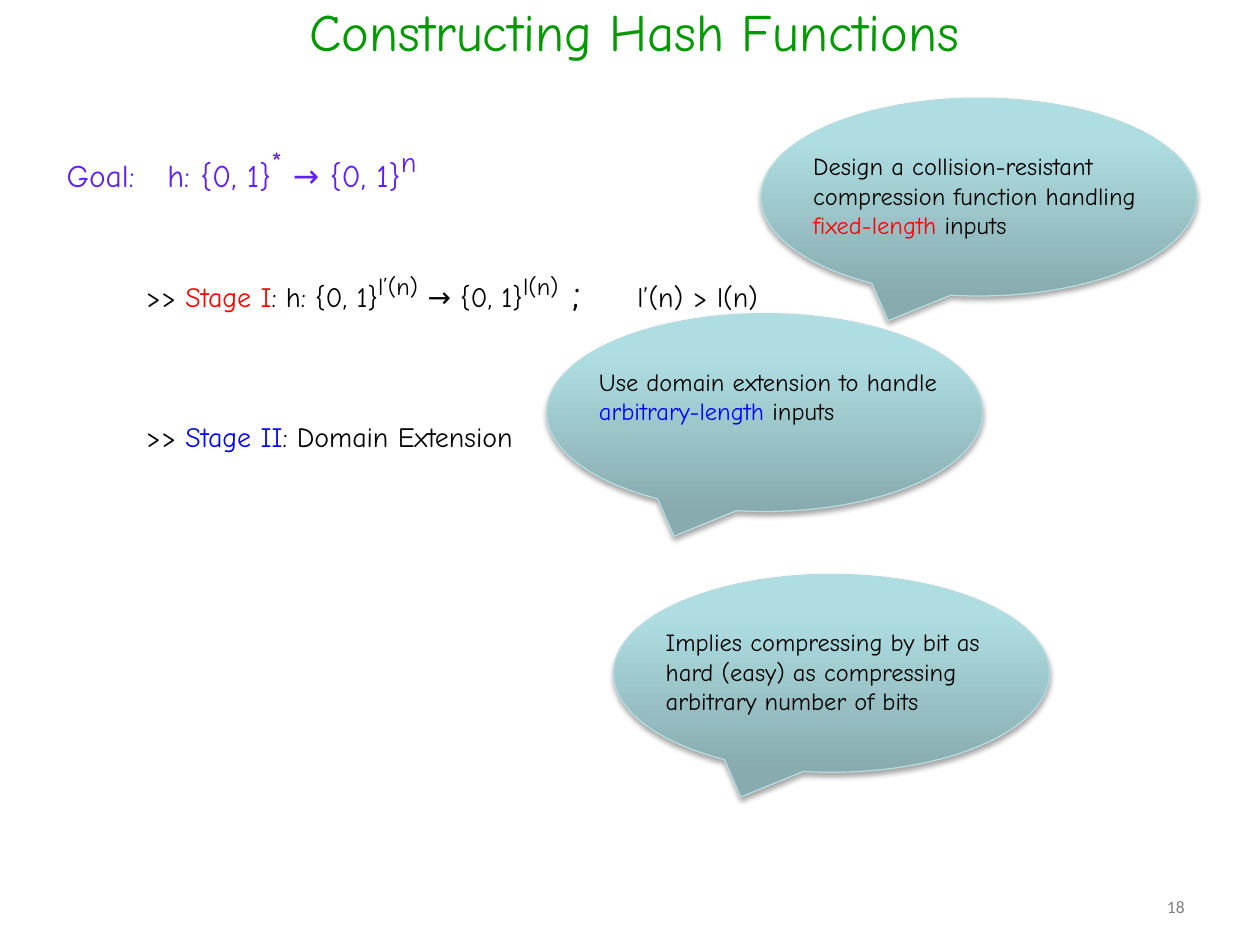
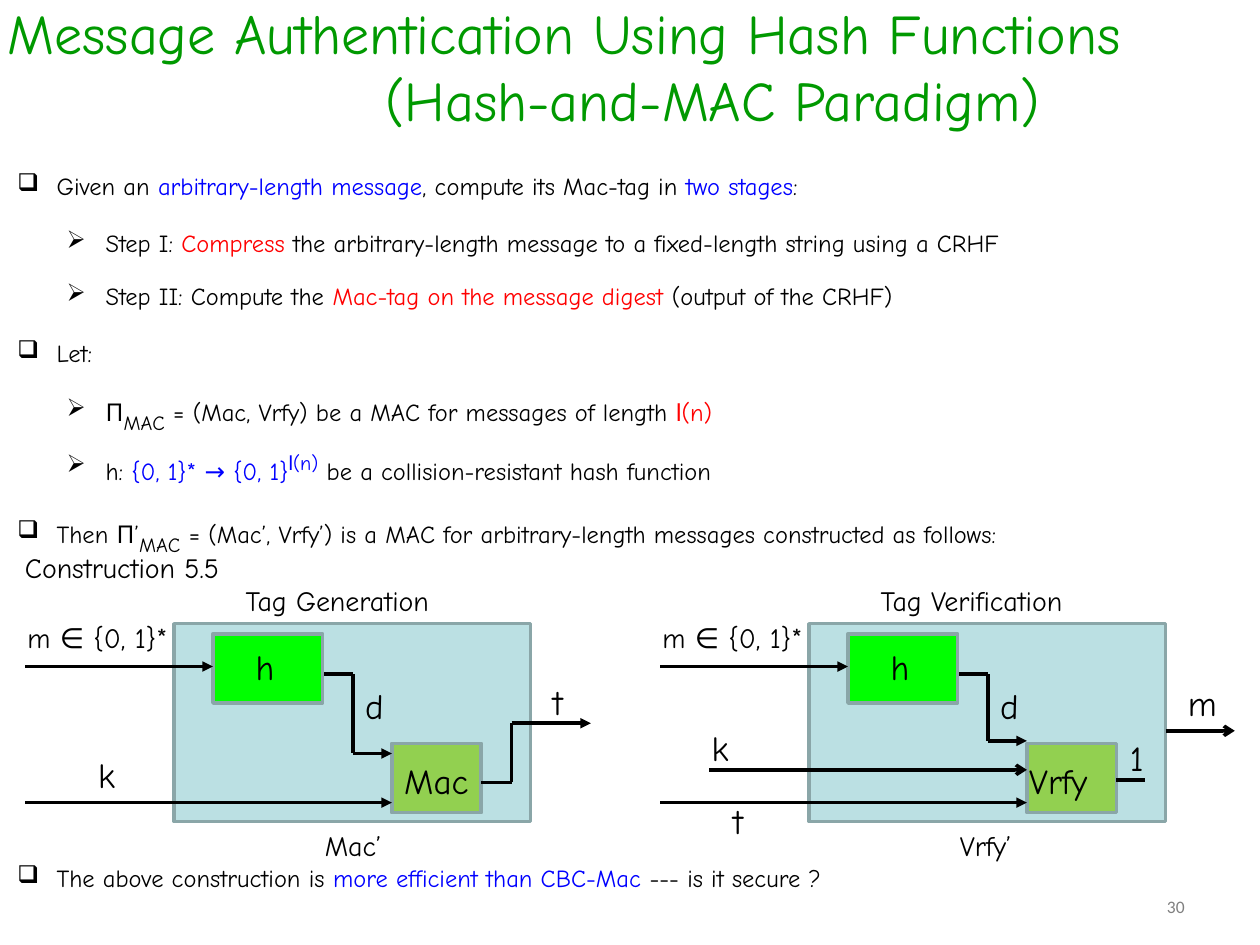
from lxml import etree
from pptx import Presentation
from pptx.dml.color import RGBColor
from pptx.enum.shapes import MSO_CONNECTOR, MSO_SHAPE
from pptx.enum.text import MSO_ANCHOR, MSO_AUTO_SIZE, PP_ALIGN
from pptx.oxml.ns import qn
from pptx.util import Inches, Pt

LEFT, MID, RIGHT = PP_ALIGN.LEFT, PP_ALIGN.CENTER, PP_ALIGN.RIGHT
BOX, BUBBLE = MSO_SHAPE.RECTANGLE, MSO_SHAPE.OVAL_CALLOUT
STRAIGHT = MSO_CONNECTOR.STRAIGHT
CENTRE, TOP = MSO_ANCHOR.MIDDLE, MSO_ANCHOR.TOP
FIXED = MSO_AUTO_SIZE.NONE

FONT = "Comic Neue"
BLACK, RED, BLUE = "000000", "FF0000", "0000FF"
GREEN, VIOLET, GREY = "009900", "5E1EFE", "808080"
PANEL, EDGE, LIME, LEAF = "BBE0E3", "8AA6A8", "00FF00", "92D050"
DARK, PALE, RIM = "87ABAE", "AFDEE2", "B6DCDF"

COLS, ROWS = 100, 75
CELL = Inches(10) // COLS
SHIFT = 50.4
HANG = 3.1


def cells(*counts):
    """Turn counts of grid cells into lengths."""
    return [round(n * CELL) for n in counts]


def tint(code):
    """Turn a hex string into a colour."""
    return RGBColor.from_string(code)


def node(parent, tag, **attrs):
    """Append an XML element to a parent."""
    return etree.SubElement(parent, qn(tag), {k: str(v) for k, v in attrs.items()})


def write(para, runs, size=14, color=BLACK, font=FONT, align=LEFT):
    """Fill a paragraph with runs, each a string or a string with its format."""
    para.alignment = align
    for item in [runs] if isinstance(runs, str) else runs:
        words, own = (item, {}) if isinstance(item, str) else item
        run = para.add_run()
        run.text = words
        run.font.name = own.get("font", font)
        run.font.size = Pt(own.get("size", size))
        run.font.color.rgb = tint(own.get("color", color))
        if "rise" in own:
            run._r.get_or_add_rPr().set("baseline", str(own["rise"] * 1000))


def text(slide, at, runs, bullet=None, tab=None, **form):
    """Add a text box with one paragraph."""
    frame = slide.shapes.add_textbox(*cells(*at)).text_frame
    frame.word_wrap = True
    frame.vertical_anchor = TOP
    para = frame.paragraphs[0]
    write(para, runs, **form)
    props = para._p.get_or_add_pPr()
    if bullet:
        hang = cells(HANG)[0]
        props.set("marL", str(hang))
        props.set("indent", str(-hang))
        node(props, "a:buChar", char=bullet)
    if tab:
        node(node(props, "a:tabLst"), "a:tab", pos=cells(tab)[0], algn="l")


def hue(words, color, **own):
    """Make a coloured run."""
    return words, dict(color=color, **own)


def lift(words, size, rise=30, **own):
    """Make a raised or lowered run."""
    return words, dict(size=size, rise=rise, **own)


def title(slide, lines, at, size):
    """Place and fill the title, one (words, align, indent) per line."""
    shape = slide.shapes.title
    shape.left, shape.top, shape.width, shape.height = cells(*at)
    frame = shape.text_frame
    frame.word_wrap = True
    frame.auto_size = FIXED
    frame.vertical_anchor = CENTRE
    for i, (words, align, indent) in enumerate(lines):
        para = frame.add_paragraph() if i else frame.paragraphs[0]
        write(para, words, size=size, color=GREEN, align=align)
        para._p.get_or_add_pPr().set("marL", str(cells(indent)[0]))


def number(slide, label):
    """Add the page number."""
    text(slide, (71.7, 70.6, 23.3, 2.9), label, size=10, color=GREY,
         font="Calibri", align=RIGHT)


def box(slide, at, fill):
    """Add an edged rectangle."""
    shape = slide.shapes.add_shape(BOX, *cells(*at))
    shape.shadow.inherit = False
    shape.fill.solid()
    shape.fill.fore_color.rgb = tint(fill)
    shape.line.color.rgb = tint(EDGE)
    shape.line.width = Pt(2)


def bubble(slide, x, y, runs):
    """Add a shaded speech bubble with its words."""
    shape = slide.shapes.add_shape(BUBBLE, *cells(x, y, 34.6, 15.7))
    shape.fill.gradient()
    shape.fill.gradient_angle = 90
    for stop, code, place in zip(shape.fill.gradient_stops, (DARK, PALE), (0, 0.8)):
        stop.color.rgb = tint(code)
        stop.position = place
    shape.line.color.rgb = tint(RIM)
    shape.line.width = Pt(0.75)
    shape.shadow.inherit = False
    glow = node(shape._element.spPr.find(qn("a:effectLst")), "a:outerShdw",
                blurRad=Pt(3.1), dist=Pt(1.8), dir=5400000, rotWithShape=0)
    node(node(glow, "a:srgbClr", val=BLACK), "a:alpha", val=35000)
    text(slide, (x + 3.15, y + 3.7, 29.1, 8.1), runs)


def wire(slide, *points, head=None):
    """Join points by lines, with an arrowhead on the last."""
    pairs = list(zip(points, points[1:]))
    for start, end in pairs:
        line = slide.shapes.add_connector(STRAIGHT, *cells(*start, *end))
        line.line.color.rgb = tint(BLACK)
        line.line.width = Pt(2)
        props = line._element.spPr
        if head and (start, end) == pairs[-1]:
            node(props.find(qn("a:ln")), "a:tailEnd", type=head)
        node(props, "a:effectLst")


def scheme(slide, x, head, name, low, drop, inset):
    """Draw the parts that both diagrams share, moved right by x."""
    box(slide, (x + 13.8, 49.5, 28.3, 15.7), PANEL)
    box(slide, (x + 31.1, 59, 7.1, 5.5), LEAF)
    text(slide, (x + inset, 59.8, 10.2, 4.4), name, size=20)
    wire(slide, (x + 2, 63.7), (x + 31.1, 63.7), head="triangle")
    text(slide, (x + 6.8, low[1], 7, 4.4), low[0], size=20)
    wire(slide, (x + 24.8, 53.5), (x + 28, 53.5), (x + 28, drop),
         (x + 31.1, drop), head="triangle")
    text(slide, (x + 28, 53.8, 4.6, 4.4), "d", size=20)
    box(slide, (x + 16.9, 50.3, 8.7, 5.5), LIME)
    text(slide, (x + 19.3, 50.7, 10.2, 4.4), "h", size=20)
    wire(slide, (x + 2, 52.9), (x + 16.9, 52.9), head="triangle")
    text(slide, (x + 1.2, 48.8, 15.7, 3.7), "m ∈ {0, 1}*", size=16)
    text(slide, (x + 18.5, 45.8, 22.8, 3.7), head, size=16)
    text(slide, (x + 24.8, 65.3, 7.9, 3.7), name + "’", size=16)


def goals(slide):
    """Build the slide on the two stages."""
    title(slide, [("Constructing Hash Functions", MID, 0)],
          (-2, -0.3, 104.7, 5.5), 30)
    text(slide, (10.6, 20.6, 57.5, 5),
         [">> ", hue("Stage I", RED), ": h: {0, 1}", lift("l’(n)", 24),
          " → {0, 1}", lift("l(n)", 24), (" ;", dict(size=24)),
          "\tl’(n) > l(n)"], size=16, tab=39)
    text(slide, (10.6, 32.8, 44.1, 3.7),
         [">> ", hue("Stage II", BLUE), ": Domain Extension"], size=16)
    text(slide, (4.3, 10.5, 31.7, 4.2),
         ["Goal:\th: {0, 1}", lift("*", 28), " → {0, 1}", lift("n", 28)],
         size=18, color=VIOLET, tab=8)
    bubble(slide, 43.4, 24.9, ["Use domain extension to handle ",
                               hue("arbitrary-length", BLUE), " inputs"])
    bubble(slide, 60.4, 7.8,
           ["Design a collision-resistant compression function handling ",
            hue("fixed-length", RED), " inputs"])
    bubble(slide, 48.7, 45.6, "Implies compressing by bit as hard (easy) "
                              "as compressing arbitrary number of bits")
    number(slide, "18")


def paradigm(slide):
    """Build the slide on hashing before the tag."""
    title(slide, [("Message Authentication Using Hash Functions", LEFT, 0),
                  ("(Hash-and-MAC Paradigm)", MID, 13.2)],
          (-0.4, -0.3, 100.8, 11), 32)
    main_mark, sub_mark = (0.4, "❑"), (4.3, "➢")
    points = [
        (main_mark, 13.1, ["Given an ", hue("arbitrary-length message", BLUE),
                           ", compute its Mac-tag in ", hue("two stages", BLUE), ":"]),
        (sub_mark, 17.6, ["Step I: ", hue("Compress", RED),
                          " the arbitrary-length message to a fixed-length "
                          "string using a CRHF"]),
        (sub_mark, 21.8, ["Step II: Compute the ",
                          hue("Mac-tag on the message digest ", RED),
                          "(output of the CRHF)"]),
        (main_mark, 26.3, "Let:"),
        (sub_mark, 30.2, ["Π", lift("MAC", 20, -25),
                          " = (Mac, Vrfy) be a MAC for messages of length ",
                          hue("l", RED, font="Arial"), hue("(n)", RED)]),
        (sub_mark, 34.9, ["h: ", hue("{0, 1}* → {0, 1}", BLUE),
                          lift("l", 20, color=BLUE, font="Arial"),
                          lift("(n)", 20, color=BLUE),
                          " be a collision-resistant hash function"]),
        (main_mark, 39.9, ["Then Π’", lift("MAC", 20, -25),
                           " = (Mac’, Vrfy’) is a MAC for arbitrary-length "
                           "messages constructed as follows:"]),
        (main_mark, 68, ["The above construction is ",
                         hue("more efficient than CBC-Mac ", BLUE),
                         "--- is it secure ?"]),
    ]
    for (x, mark), y, runs in points:
        text(slide, (x, y, 96.9, 3.4), runs, bullet=mark)
    text(slide, (1, 43.2, 19.3, 3.7), "Construction 5.5", size=16)

    scheme(slide, 0, "Tag Generation", "Mac", ("k", 59.3), 59.8, 31.1)
    wire(slide, (38.2, 62.1), (40.6, 62.1), (40.6, 57.4), (46.9, 57.4),
         head="triangle")
    text(slide, (42.9, 53.5, 4.6, 4.4), "t", size=20)

    scheme(slide, SHIFT, "Tag Verification", "Vrfy", ("t", 63), 58.8, 30.3)
    wire(slide, (56.3, 61.1), (81.5, 61.1), head="arrow")
    text(slide, (55.5, 57.2, 7, 4.4), "k", size=20)
    wire(slide, (88.6, 61.9), (90.9, 61.9))
    text(slide, (88.7, 58, 4.6, 4.4), "1", size=20)
    wire(slide, (92.5, 58), (98, 58), head="arrow")
    text(slide, (93.3, 53.6, 10.1, 4.4), "m", size=20)
    number(slide, "30")


def main():
    """Build and save the deck."""
    deck = Presentation()
    deck.slide_width, deck.slide_height = cells(COLS, ROWS)
    for build in (goals, paradigm):
        build(deck.slides.add_slide(deck.slide_layouts[5]))
    deck.save("out.pptx")


main()
